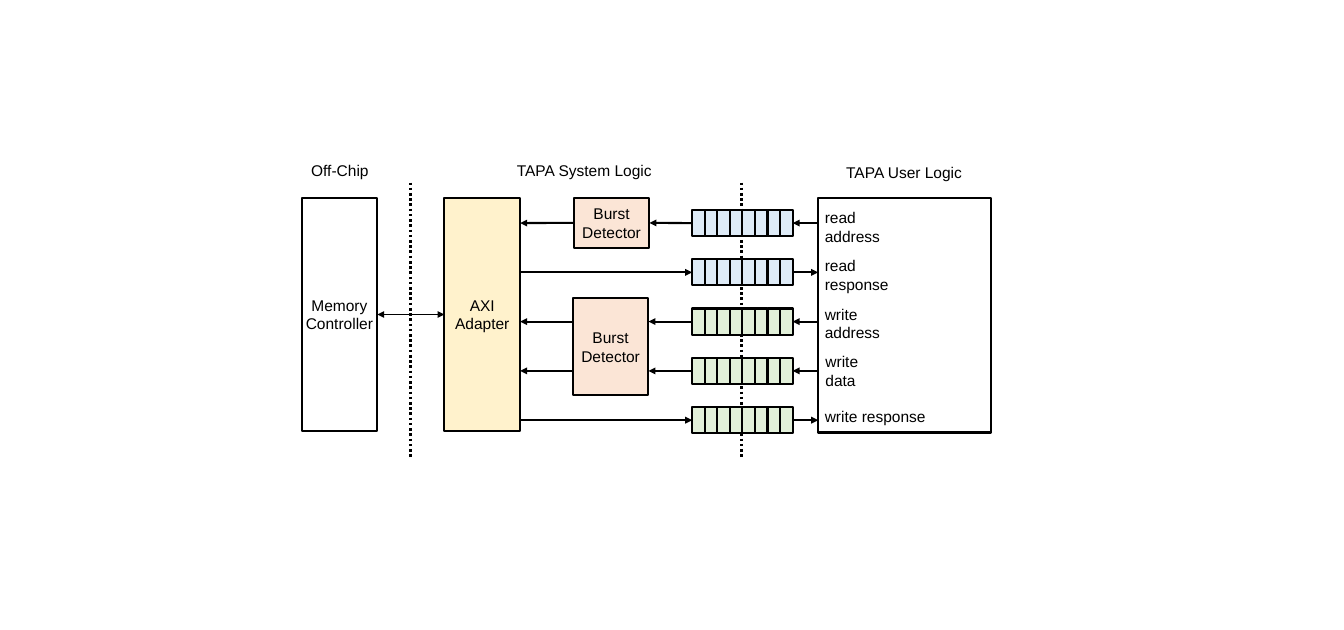
from lxml.etree import SubElement
from pptx import Presentation
from pptx.dml.color import RGBColor
from pptx.enum.dml import MSO_LINE as Dash
from pptx.enum.shapes import MSO_CONNECTOR as Connector, MSO_SHAPE as Shape
from pptx.enum.text import MSO_ANCHOR as Anchor, MSO_AUTO_SIZE as AutoSize, PP_ALIGN as Align
from pptx.oxml.ns import qn
from pptx.util import Cm, Pt

rgb = RGBColor.from_string
LEFT, RIGHT = 1, 3
BLACK, BLUE, GREEN, PEACH = "000000", "DEEBF7", "E2F0D9", "FBE5D6"

prs = Presentation()
prs.slide_width, prs.slide_height = Cm(40.64), Cm(19.05)
slide = prs.slides.add_slide(prs.slide_layouts[6])
shapes = slide.shapes


def add_box(left, top, width, height, fill, text=""):
    box = shapes.add_shape(Shape.RECTANGLE, Cm(left), Cm(top), Cm(width), Cm(height))
    box.shadow.inherit = False
    if fill:
        box.fill.solid()
        box.fill.fore_color.rgb = rgb(fill)
    else:
        box.fill.background()
    box.line.color.rgb = rgb(BLACK)
    box.line.width = Pt(1.75)
    if text:
        frame = box.text_frame
        frame.word_wrap = True
        frame.vertical_anchor = Anchor.MIDDLE
        frame.margin_left = frame.margin_right = 0
        label = frame.paragraphs[0]
        label.text = text
        label.alignment = Align.CENTER
        label.font.name, label.font.size = "Arial", Pt(13.3)
        label.font.color.rgb = rgb(BLACK)
    return box


def add_arrow(source, source_side, target, target_side, y, width=1.75, ends=("tailEnd",)):
    x1 = source.left + (source.width if source_side == RIGHT else 0)
    x2 = target.left + (target.width if target_side == RIGHT else 0)
    arrow = shapes.add_connector(Connector.STRAIGHT, x1, y, x2, y)
    if abs(source.top + source.height // 2 - y) < Cm(0.02):
        arrow.begin_connect(source, source_side)
    if abs(target.top + target.height // 2 - y) < Cm(0.02):
        arrow.end_connect(target, target_side)
    arrow.line.color.rgb = rgb(BLACK)
    arrow.line.width = Pt(width)
    for end in ends:
        SubElement(arrow.line._get_or_add_ln(), qn(f"a:{end}"), type="triangle")
    SubElement(arrow._element.spPr, qn("a:effectLst"))


for x in (12.42, 22.43):
    boundary = shapes.add_connector(Connector.STRAIGHT, Cm(x), Cm(5.52), Cm(x), Cm(13.88))
    boundary.line.color.rgb = rgb(BLACK)
    boundary.line.width = Pt(2.25)
    boundary.line.dash_style = Dash.ROUND_DOT
    SubElement(boundary._element.spPr, qn("a:effectLst"))

memory = add_box(9.12, 5.99, 2.29, 7.04, "FFFFFF", "Memory Controller")
axi = add_box(13.44, 5.99, 2.29, 7.04, "FFF2CC", "AXI Adapter")
user = add_box(24.74, 5.99, 5.23, 7.09, None)
read_burst = add_box(17.35, 5.99, 2.29, 1.5, PEACH, "Burst Detector")
write_burst = add_box(17.32, 9.02, 2.29, 2.92, PEACH, "Burst Detector")
add_arrow(memory, RIGHT, axi, LEFT, memory.top + memory.height // 2, 1.5, ("headEnd", "tailEnd"))

channels = [
    (BLUE, read_burst),
    (BLUE, None),
    (GREEN, write_burst),
    (GREEN, write_burst),
    (GREEN, None),
]
for row, (color, detector) in enumerate(channels):
    fifo = [add_box(20.93 + 0.38 * slot, 6.35 + 1.49 * row, 0.38, 0.79, color) for slot in range(8)]
    y = fifo[0].top + fifo[0].height // 2
    if detector:
        add_arrow(user, LEFT, fifo[-1], RIGHT, y)
        add_arrow(fifo[0], LEFT, detector, RIGHT, y)
        add_arrow(detector, LEFT, axi, RIGHT, y)
    else:
        add_arrow(axi, RIGHT, fifo[0], LEFT, y)
        add_arrow(fifo[-1], RIGHT, user, LEFT, y)

captions = [
    ("Off-Chip", 7.65, 4.75, 5.26, 0.84, Align.CENTER),
    ("TAPA System Logic", 15.04, 4.75, 5.26, 0.84, Align.CENTER),
    ("TAPA User Logic", 24.71, 4.8, 5.26, 0.84, Align.CENTER),
    ("read address", 24.69, 6.17, 2.67, 1.19, Align.LEFT),
    ("read response", 24.69, 7.62, 2.67, 1.19, Align.LEFT),
    ("write address", 24.69, 9.09, 3.05, 1.19, Align.LEFT),
    ("write data", 24.71, 10.52, 2.29, 1.19, Align.LEFT),
    ("write response", 24.69, 12.17, 3.89, 0.84, Align.LEFT),
]
for text, left, top, width, height, alignment in captions:
    frame = shapes.add_textbox(Cm(left), Cm(top), Cm(width), Cm(height)).text_frame
    frame.word_wrap = True
    frame.auto_size = AutoSize.SHAPE_TO_FIT_TEXT
    caption = frame.paragraphs[0]
    caption.text = text
    caption.alignment = alignment
    caption.font.name, caption.font.size = "Arial", Pt(13.3)
    caption.font.color.rgb = rgb(BLACK)

prs.save("out.pptx")
